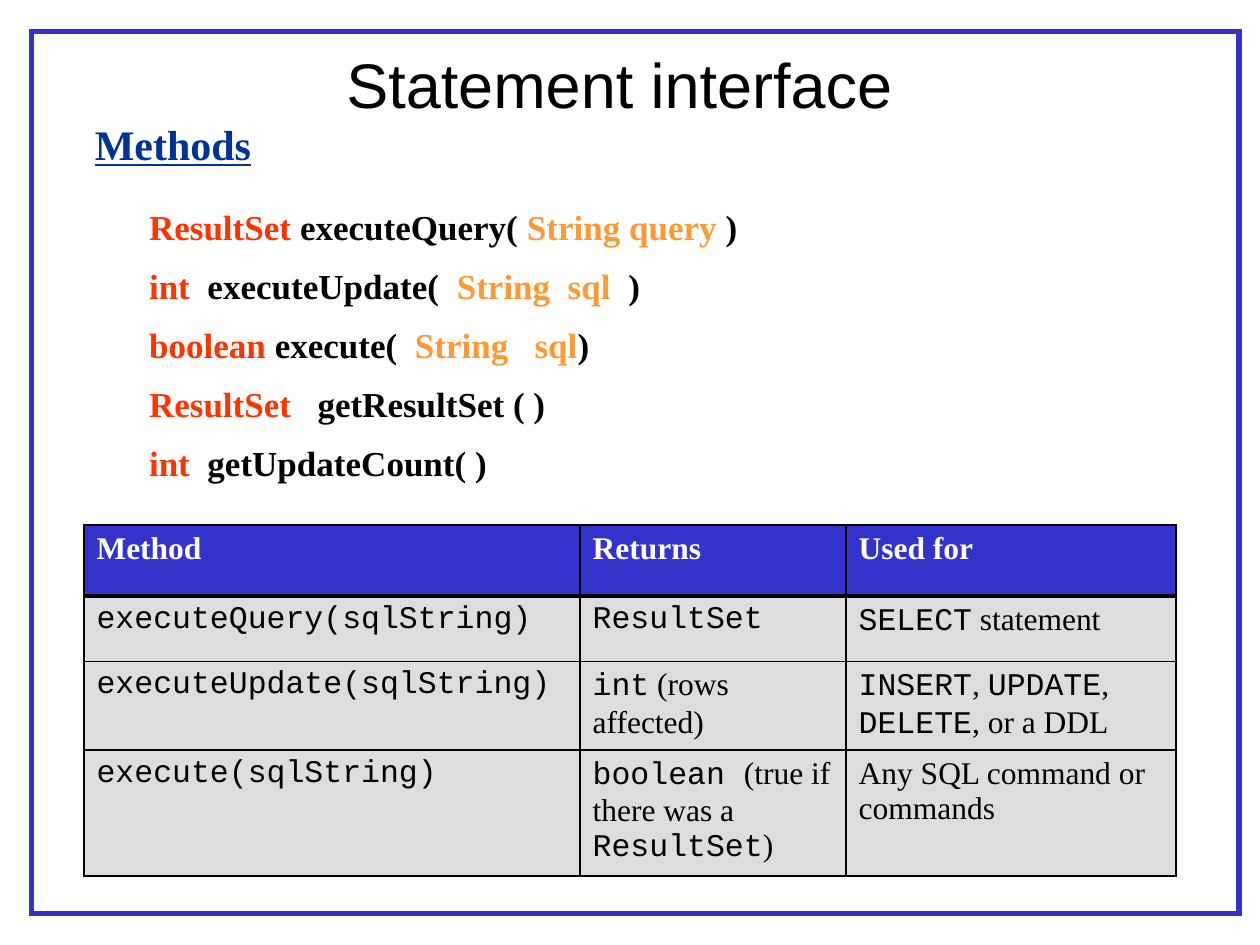
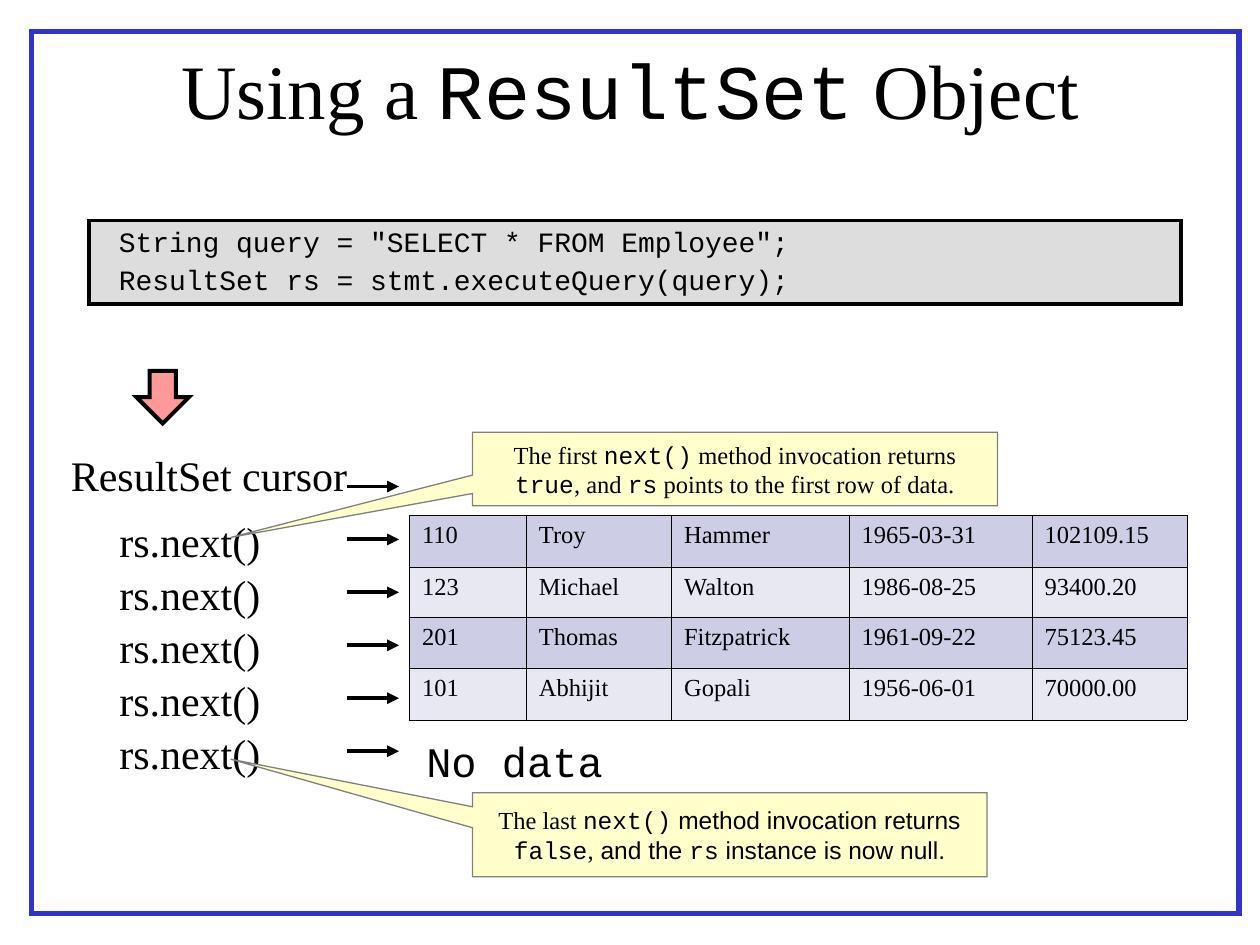
"""Build two slides on the Statement interface and the ResultSet cursor."""
from lxml import etree
from pptx import Presentation
from pptx.dml.color import RGBColor as Rgb
from pptx.enum.shapes import MSO_CONNECTOR as Link, MSO_SHAPE as Kind
from pptx.enum.text import MSO_ANCHOR as Anchor, MSO_AUTO_SIZE as Fit, PP_ALIGN as Align
from pptx.oxml.ns import qn
from pptx.util import Pt

HUE = {"blue": "3333CC", "navy": "003399", "red": "FF3300", "gold": "FF9933",
       "black": "000000", "white": "FFFFFF", "grey": "DDDDDD", "edge": "808080",
       "note": "FFFFCC", "pink": "FF9999", "dark": "CDCDE6", "light": "E8E8F3"}
SERIF, MONO, SANS = "Times New Roman", "Courier New", "Arial"
CODE, PLAIN = {"font": MONO}, {"font": SANS}
RED, GOLD = {"hue": "red"}, {"hue": "gold"}

METHODS = [
    [("ResultSet", RED), " executeQuery( ", ("String query", GOLD), " )"],
    [("int", RED), "  executeUpdate(  ", ("String  sql ", GOLD), " )"],
    [("boolean ", RED), "execute(  ", ("String   sql", GOLD), ")"],
    [("ResultSet", RED), "   getResultSet ( )"],
    [("int", RED), "  getUpdateCount( )"],
]
USES = [
    ["Method", "Returns", "Used for"],
    [[("executeQuery(sqlString)", CODE)], [("ResultSet", CODE)],
     [("SELECT", CODE), " statement"]],
    [[("executeUpdate(sqlString)", CODE)], [("int", CODE), " (rows affected)"],
     [("INSERT", CODE), ", ", ("UPDATE", CODE), ", ", ("DELETE", CODE), ", or a DDL"]],
    [[("execute(sqlString)", CODE)],
     [("boolean ", CODE), "(true if there was a ", ("ResultSet", CODE), ")"],
     "Any SQL command or commands"],
]
QUERY = ['String query = "SELECT * FROM Employee";',
         "ResultSet rs = stmt.executeQuery(query);"]
STAFF = [
    ["110", "Troy", "Hammer", "1965-03-31", "102109.15"],
    ["123", "Michael", "Walton", "1986-08-25", "93400.20"],
    ["201", "Thomas", "Fitzpatrick", "1961-09-22", "75123.45"],
    ["101", "Abhijit", "Gopali", "1956-06-01", "70000.00"],
]
NOTES = [
    ((270, 453, 294, 48), (-0.97, -0.9),
     ["The last ", ("next()", CODE), (" method invocation returns ", PLAIN),
      ("false", CODE), ",", (" and the ", PLAIN), ("rs", CODE),
      (" instance is now null.", PLAIN)]),
    ((270, 247, 300, 42), (-0.96, 0.93),
     ["The first ", ("next()", CODE), " method invocation returns ", ("true", CODE),
      ", and ", ("rs", CODE), " points to the first row of data."]),
]
STEPS, PITCH = 5, 30.25


def tint(name):
    return Rgb.from_string(HUE[name])


def pts(box):
    return [Pt(n) for n in box]


def write(frame, paras, size=18, font=SERIF, hue="black", bold=False, line=False,
          align=Align.LEFT, anchor=Anchor.TOP, inset=(7.2, 3.6, 7.2, 3.6),
          gap=0, wrap=True):
    """Fill a frame; each paragraph is a string or a list of runs."""
    frame.auto_size, frame.word_wrap = Fit.NONE, wrap
    frame.vertical_anchor = anchor
    (frame.margin_left, frame.margin_top,
     frame.margin_right, frame.margin_bottom) = pts(inset)
    for i, runs in enumerate(paras):
        para = frame.add_paragraph() if i else frame.paragraphs[0]
        para.alignment = align
        para.space_before = Pt(gap if i else 0)
        for item in [runs] if isinstance(runs, str) else runs:
            text, own = (item, {}) if isinstance(item, str) else item
            run = para.add_run()
            run.text = text
            face = run.font
            face.size, face.bold, face.underline = Pt(size), bold, line
            face.name = own.get("font", font)
            face.color.rgb = tint(own.get("hue", hue))
    return frame


def label(slide, box, paras, **form):
    return write(slide.shapes.add_textbox(*pts(box)).text_frame, paras, **form)


def shape(slide, kind, box, fill, edge, width, adjust=()):
    form = slide.shapes.add_shape(kind, *pts(box))
    form.shadow.inherit = False
    form.fill.solid()
    form.fill.fore_color.rgb = tint(fill)
    form.line.color.rgb = tint(edge)
    form.line.width = Pt(width)
    etree.SubElement(form.element.spPr.find(qn("a:ln")), qn("a:miter"), lim="800000")
    for i, value in enumerate(adjust):
        form.adjustments[i] = value
    return form


def page(deck, box, runs, **form):
    slide = deck.slides.add_slide(deck.slide_layouts[5])
    title = slide.shapes.title
    title.left, title.top, title.width, title.height = pts(box)
    write(title.text_frame, [runs], align=Align.CENTER, **form)
    frame = shape(slide, Kind.RECTANGLE, (18, 18, 690, 504), "white", "blue", 3)
    title.element.addprevious(frame.element)
    return slide


def border(cell, widths):
    props = cell._tc.get_or_add_tcPr()
    for i, (side, width) in enumerate(zip(("lnL", "lnR", "lnT", "lnB"), widths)):
        line = etree.Element(qn("a:" + side), w=str(Pt(width)))
        fill = etree.SubElement(line, qn("a:solidFill"))
        etree.SubElement(fill, qn("a:srgbClr"), val=HUE["black"])
        props.insert(i, line)


def grid(slide, spot, rows, wides, highs, fills, size, rule, head=0):
    """Draw a table; a head width gives row one bold white text and a thick rule."""
    box = (*spot, sum(wides), sum(highs))
    table = slide.shapes.add_table(len(rows), len(wides), *pts(box)).table
    for col, wide in zip(table.columns, wides):
        col.width = Pt(wide)
    for r, row in enumerate(rows):
        table.rows[r].height = Pt(highs[r])
        top = head and r == 0
        for c, text in enumerate(row):
            cell = table.cell(r, c)
            cell.fill.solid()
            cell.fill.fore_color.rgb = tint(fills[r])
            write(cell.text_frame, [text], size=size, bold=bool(top),
                  hue="white" if top else "black")
            border(cell, (rule, rule, head if head and r == 1 else rule,
                          head if top else rule))


def arrow(slide, y):
    line = slide.shapes.add_connector(Link.STRAIGHT, *pts((198, y, 228, y)))
    line.line.color.rgb = tint("black")
    line.line.width = Pt(2.25)
    props = line.element.spPr
    etree.SubElement(props.find(qn("a:ln")), qn("a:tailEnd"), type="triangle")
    etree.SubElement(props, qn("a:effectLst"))


def methods(deck):
    slide = page(deck, (114, 24, 480, 90), "Statement interface", size=36, font=SANS,
                 inset=(7.2, 2, 7.2, 3.6))
    box = (42, 67.5, 642, 246)
    head = label(slide, box, ["Methods"], size=24, hue="navy", bold=True, line=True,
                 inset=(12.2, 3.6, 7.2, 3.6))
    head.paragraphs[0].line_spacing = 0.9
    body = label(slide, (42, 109, 642, 204), METHODS, size=20, bold=True, gap=5,
                 inset=(43.2, 3.6, 7.2, 3.6))
    for para in body.paragraphs:
        para.line_spacing = 1.2
    grid(slide, (48, 300), USES, (283.5, 152, 188.5), (40.5, 37.5, 50.5, 72),
         ["blue"] + ["grey"] * 3, 18, 1.08, head=2.21)


def cursor(deck):
    slide = page(deck, (54, 5.5, 612, 90), ["Using a ", ("ResultSet", CODE), " Object"],
                 size=44, anchor=Anchor.MIDDLE)
    shape(slide, Kind.RECTANGLE, (51, 126, 624, 48), "grey", "black", 2.25)
    label(slide, (52, 126, 618, 48), QUERY, size=16, font=MONO, gap=3,
          inset=(16, 2, 7.2, 2))
    grid(slide, (234, 294.5), STAFF, (66.75, 83, 101.5, 104.5, 88.5),
         (29.5, 29, 29, 29.5), ["dark", "light"] * 2, 14, 0.34)
    big = {"size": 24, "align": Align.CENTER}
    label(slide, (33.5, 253.5, 172, 36), ["ResultSet cursor"], wrap=False, **big)
    for i in range(STEPS):
        label(slide, (54, 291 + i * PITCH, 109, 36), ["rs.next()"], **big)
    for i in range(STEPS + 1):
        arrow(slide, 278 + i * PITCH)
    label(slide, (228, 417, 132, 36), ["No data"], font=MONO, **big)
    for box, tip, text in NOTES:
        note = shape(slide, Kind.RECTANGULAR_CALLOUT, box, "note", "edge", 0.75, tip)
        write(note.text_frame, [text], size=14, align=Align.CENTER,
              anchor=Anchor.MIDDLE, inset=(7.2, 0.7, 7.2, 0.7))
    shape(slide, Kind.DOWN_ARROW, (78, 212, 30, 30), "pink", "black", 2.25)


def main():
    deck = Presentation()
    deck.slide_width, deck.slide_height = Pt(720), Pt(540)
    methods(deck)
    cursor(deck)
    deck.save("out.pptx")


if __name__ == "__main__":
    main()
